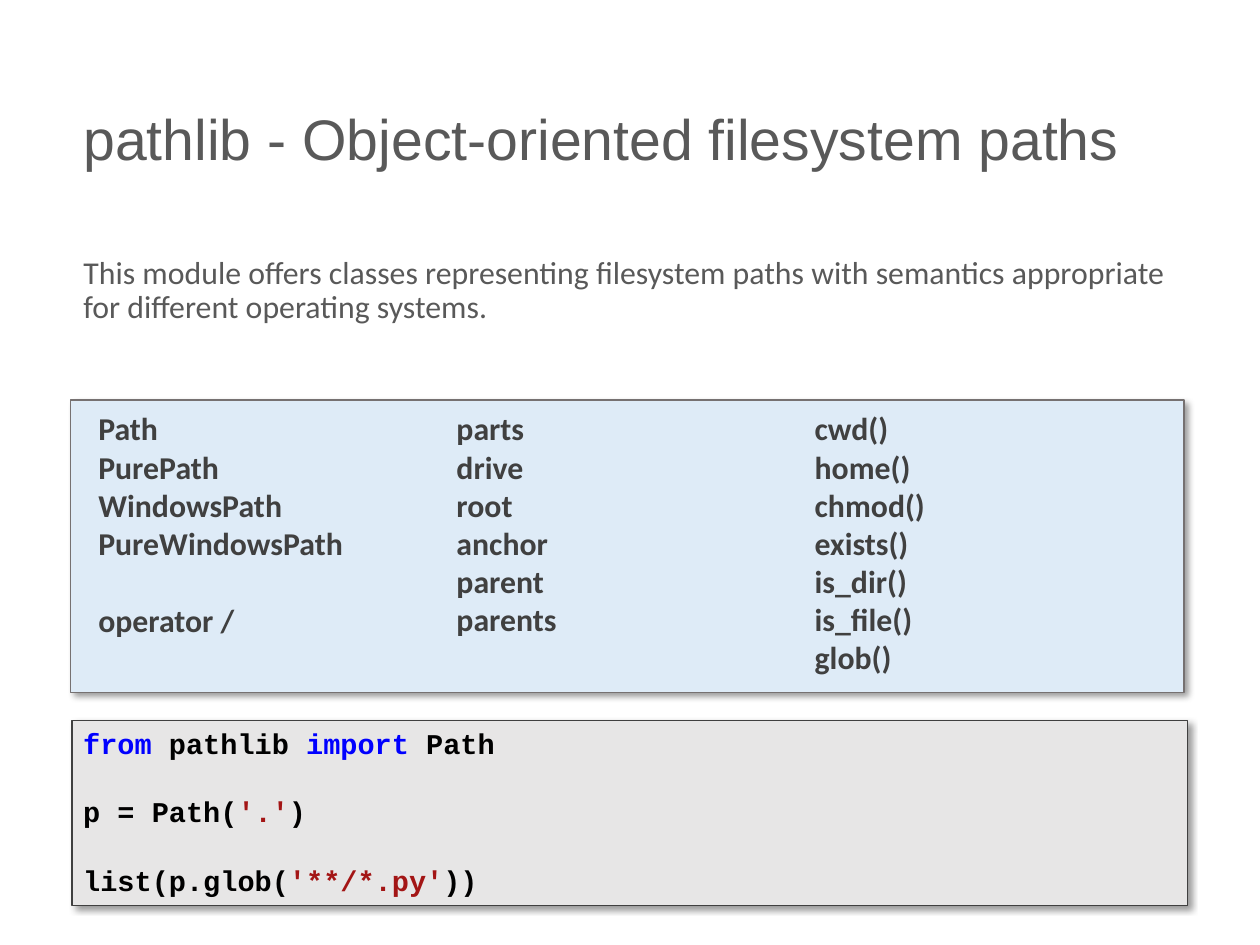
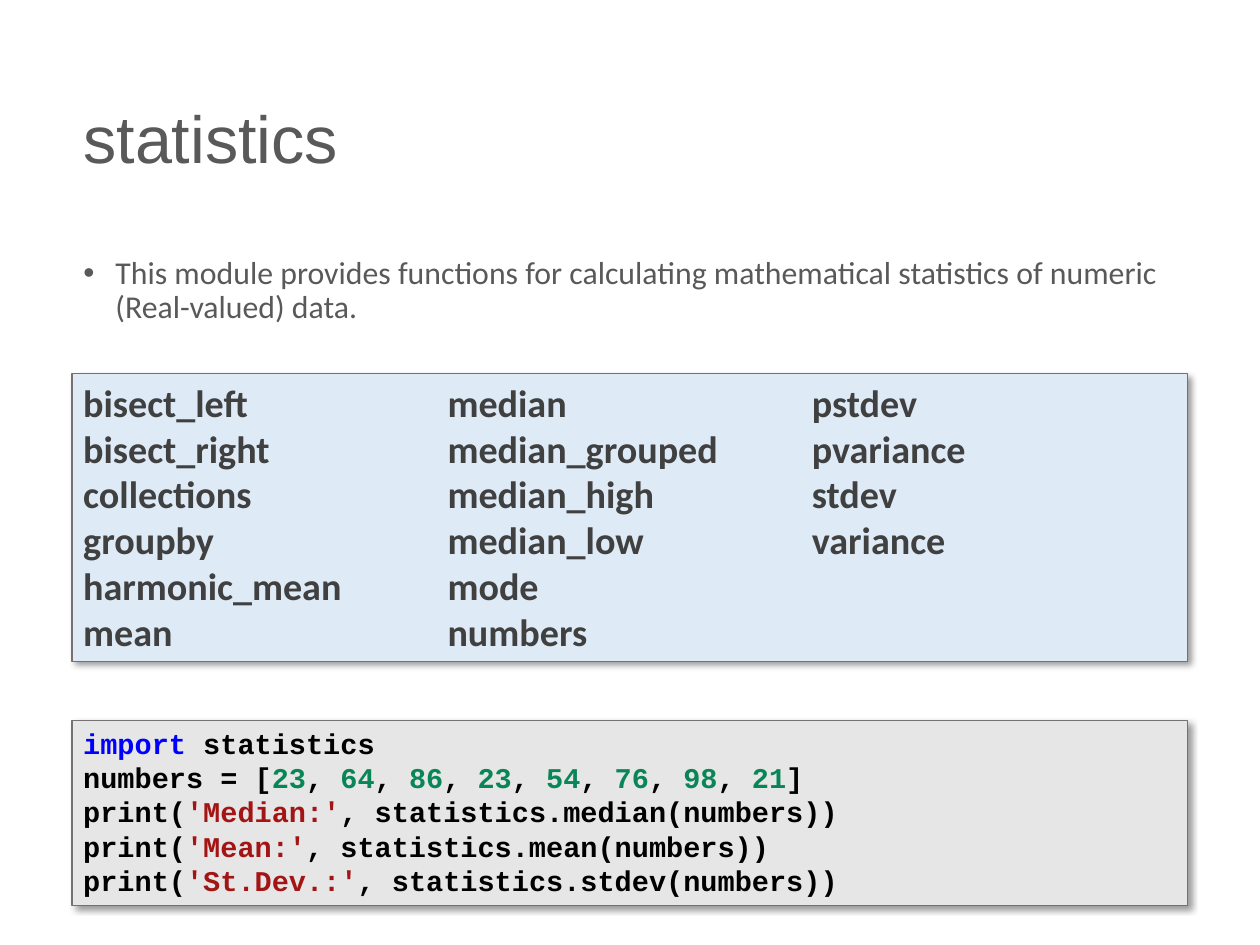
from lxml import etree
from pptx import Presentation
from pptx import util as u
from pptx.dml.color import RGBColor
from pptx.enum import shapes, text
from pptx.oxml import parse_xml
from pptx.oxml.ns import nsdecls, qn

COLORS = {
    "heading": "595959", "list": "404040", "list_fill": "DEEBF7",
    "code_fill": "E7E6E6", "border": "767171", "dark_border": "404040",
    "plain": "000000", "keyword": "0000FF", "string": "A31515", "number": "098658",
}
SHADOW = (
    f'<a:outerShdw {nsdecls("a")} blurRad="50800" dist="38100" dir="2700000" '
    'algn="tl" rotWithShape="0"><a:prstClr val="black"><a:alpha val="40000"/>'
    "</a:prstClr></a:outerShdw>"
)
CM_PER_INCH = 2.54
LEFT, WIDTH = 0.63, 9.76
CODE_LINE = 21.5  # points
LIST_LINE = 24.4  # points

# Code lines as coloured pieces
numbers = [("numbers = [", "plain")]
for position, value in enumerate([23, 64, 86, 23, 54, 76, 98, 21]):
    if position:
        numbers.append((", ", "plain"))
    numbers.append((str(value), "number"))
numbers.append(("]", "plain"))

statistics_code = [[("import ", "keyword"), ("statistics", "plain")], numbers]
for label, function in [("Median", "median"), ("Mean", "mean"), ("St.Dev.", "stdev")]:
    statistics_code.append([
        ("print(", "plain"), (f"'{label}:'", "string"),
        (f", statistics.{function}(numbers))", "plain"),
    ])

# Slide content; gaps are one line high and fill the columns
SLIDES = [
    {
        "title": "pathlib - Object-oriented filesystem paths", "title_size": 36,
        "body": "This module offers classes representing filesystem paths with "
                "semantics appropriate for different operating systems.",
        "bullet": False,
        "list_at": (0.62, 3.5, 9.74, 2.56), "list_size": 20, "insets": (0.24, 0.08),
        "names": ["Path", "PurePath", "WindowsPath", "PureWindowsPath", "operator /",
                  "parts", "drive", "root", "anchor", "parent", "parents",
                  "cwd()", "home()", "chmod()", "exists()", "is_dir()", "is_file()",
                  "glob()"],
        "gap_before": ["operator /"], "gap_after": ["operator /", "parents"],
        "code": [
            [("from", "keyword"), (" pathlib ", "plain"), ("import", "keyword"),
             (" Path", "plain")],
            [("p = Path(", "plain"), ("'.'", "string"), (")", "plain")],
            [("list(p.glob(", "plain"), ("'**/*.py'", "string"), ("))", "plain")],
        ],
        "code_gap": CODE_LINE, "code_border": "dark_border",
    },
    {
        "title": "statistics", "title_size": 41.9,
        "body": "This module provides functions for calculating mathematical "
                "statistics of numeric (Real-valued) data.",
        "bullet": True,
        "list_at": (LEFT, 3.27, WIDTH, 2.52), "list_size": 24, "insets": (0.1, 0.05),
        "names": ["bisect_left", "bisect_right", "collections", "groupby",
                  "harmonic_mean", "mean", "median", "median_grouped", "median_high",
                  "median_low", "mode", "numbers", "pstdev", "pvariance", "stdev",
                  "variance"],
        "gap_before": [], "gap_after": [],
        "code": statistics_code, "code_gap": 0, "code_border": "border",
    },
]


def add_span(para, words, font, size, color, bold=False):
    span = para.add_run()
    span.text = words
    span.font.name = font
    span.font.size = u.Pt(size)
    span.font.bold = bold
    span.font.color.rgb = RGBColor.from_string(COLORS[color])


def add_panel(page, place, fill, border):
    panel = page.shapes.add_shape(
        shapes.MSO_SHAPE.RECTANGLE, *[u.Inches(length) for length in place])
    panel.shadow.inherit = False
    panel._element.spPr.find(qn("a:effectLst")).append(parse_xml(SHADOW))
    panel.fill.solid()
    panel.fill.fore_color.rgb = RGBColor.from_string(COLORS[fill])
    panel.line.color.rgb = RGBColor.from_string(COLORS[border])
    panel.line.width = u.Pt(0.75)
    frame = panel.text_frame
    frame.word_wrap = True
    frame.vertical_anchor = text.MSO_ANCHOR.TOP
    return frame


# Page of 28 by 21 cm
deck = Presentation()
deck.slide_width = u.Inches(28 / CM_PER_INCH)
deck.slide_height = u.Inches(21 / CM_PER_INCH)

# Shared title and body places
layout = deck.slide_layouts[1]
for box, top, height in zip(layout.placeholders, (0.44, 2.2), (1.6, 5.95)):
    box.left, box.top = u.Inches(LEFT), u.Inches(top)
    box.width, box.height = u.Inches(WIDTH), u.Inches(height)

for content in SLIDES:
    page = deck.slides.add_slide(layout)

    # Title
    frame = page.shapes.title.text_frame
    frame.auto_size = text.MSO_AUTO_SIZE.NONE
    frame.vertical_anchor = text.MSO_ANCHOR.MIDDLE
    para = frame.paragraphs[0]
    para.alignment = text.PP_ALIGN.LEFT
    para.line_spacing = 0.9
    add_span(para, content["title"], "Arial", content["title_size"], "heading")

    # Introduction
    frame = page.placeholders[1].text_frame
    frame.auto_size = text.MSO_AUTO_SIZE.NONE
    para = frame.paragraphs[0]
    para.line_spacing = 0.9
    para.space_before = u.Pt(0)
    indent = u.Inches(0.28) if content["bullet"] else 0
    properties = para._p.get_or_add_pPr()
    properties.set("marL", str(indent))
    properties.set("indent", str(-indent))
    if content["bullet"]:
        etree.SubElement(properties, qn("a:buChar")).set("char", "•")
    else:
        etree.SubElement(properties, qn("a:buNone"))
    add_span(para, content["body"], "Calibri", 20, "heading")

    # Code
    frame = add_panel(page, (LEFT, 6.3, WIDTH, 1.62), "code_fill", content["code_border"])
    for index, line in enumerate(content["code"]):
        para = frame.add_paragraph() if index else frame.paragraphs[0]
        para.alignment = text.PP_ALIGN.LEFT
        if index:
            para.space_before = u.Pt(content["code_gap"])
        for words, color in line:
            add_span(para, words, "Courier New", 18, color, bold=True)

    # Names in three columns
    frame = add_panel(page, content["list_at"], "list_fill", "border")
    frame.margin_left, frame.margin_top = [u.Inches(inset) for inset in content["insets"]]
    frame._txBody.bodyPr.set("numCol", "3")
    for index, name in enumerate(content["names"]):
        para = frame.add_paragraph() if index else frame.paragraphs[0]
        para.alignment = text.PP_ALIGN.LEFT
        if name in content["gap_before"]:
            para.space_before = u.Pt(LIST_LINE)
        if name in content["gap_after"]:
            para.space_after = u.Pt(LIST_LINE)
        add_span(para, name, "Calibri", content["list_size"], "list", bold=True)

deck.save("out.pptx")
